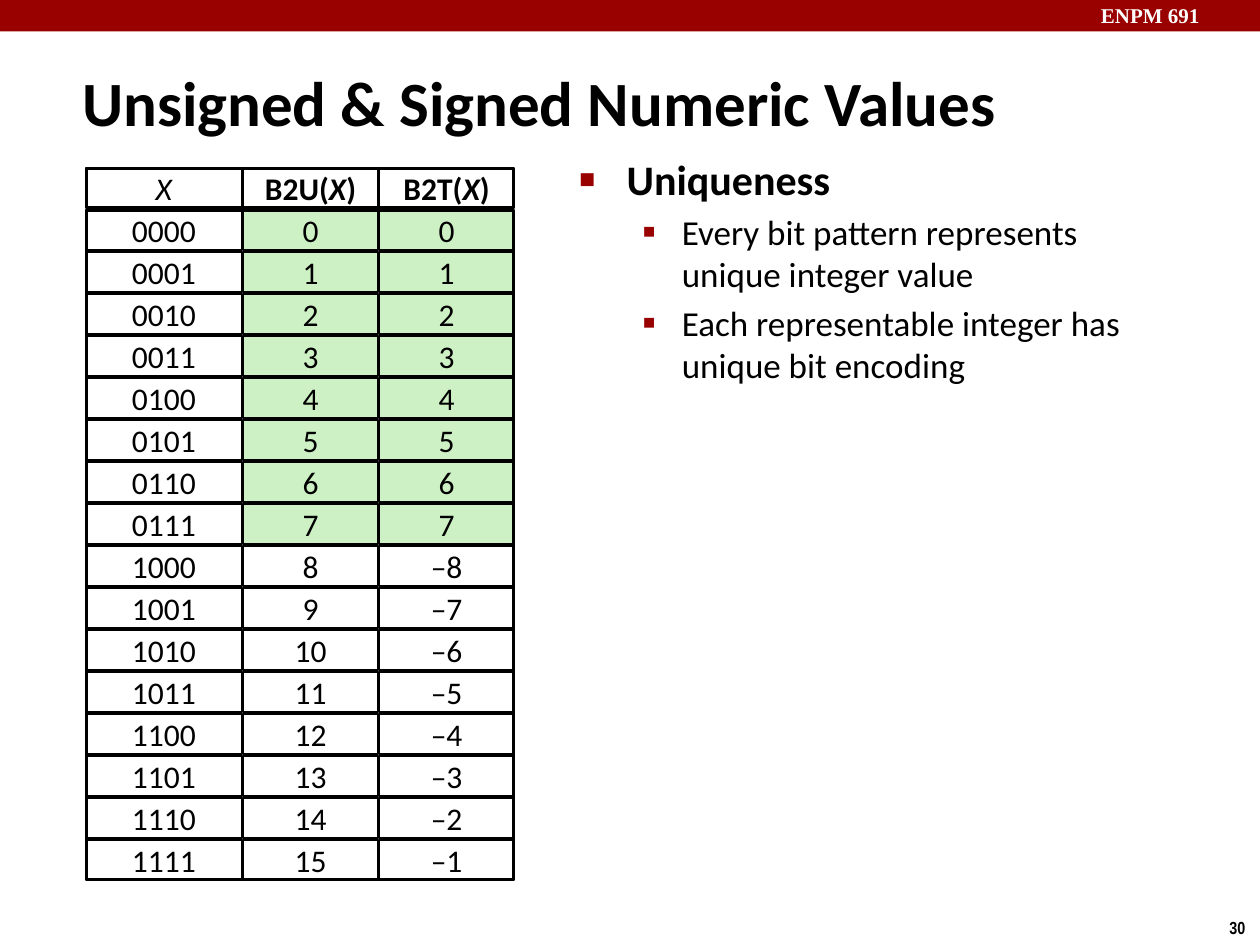
"""Build the slide on unsigned and signed numeric values of four-bit patterns."""
import pptx
import pptx.dml.color
import pptx.enum.shapes
import pptx.enum.text
import pptx.oxml.ns
import pptx.util
from lxml import etree

Pt = pptx.util.Pt
RED, BLACK, WHITE, GREEN = "990000", "000000", "FFFFFF", "CDF1C5"
BASE = {"name": "Calibri", "size": Pt(18), "bold": False, "italic": False}
BOLD = {"bold": True}

LABELS = [
    ("ENPM 691", (622, -2, 98, 22), (7.2, 3.6), 0,
     {"name": "Times New Roman", "size": Pt(12), "bold": True}, WHITE),
    ("30", (695.5, 520.5, 24.5, 19.5), (7.2, 3.6), 0,
     {"name": "Arial Narrow", "size": Pt(10), "bold": True}, BLACK),
    ("Unsigned & Signed Numeric Values", (42, 34.5, 654, 44), (5, 2), 9.5,
     {"size": Pt(36), "bold": True}, BLACK),
]
BULLETS = [
    ("Uniqueness", 0),
    ("Every bit pattern represents unique integer value", 1),
    ("Each representable integer has unique bit encoding", 1),
]
LEVELS = [
    {"mark": "■", "scale": 40, "left": 27, "hang": 27, "before": 0,
     "font": {"size": Pt(24), "bold": True}},
    {"mark": "▪", "scale": 110, "left": 58.5, "hang": 22.5, "before": 4,
     "font": {"size": Pt(20)}},
]
HEADER = [
    [("X", {"italic": True})],
    [("B2U(", BOLD), ("X", {"bold": True, "italic": True}), (")", BOLD)],
    [("B2T(", BOLD), ("X", {"bold": True, "italic": True}), (")", BOLD)],
]
BITS = 4
COLUMNS = [89.25, 77, 77]
GRID_LEFT, GRID_TOP, COLUMN_GAP = 49, 96, 0.75
ROW_PITCH, ROW_HEIGHT = 24, 23


def rgb(value):
    return pptx.dml.color.RGBColor.from_string(value)


def add_run(p, text, font, color=BLACK):
    r = p.add_run()
    r.text = text
    for key, value in {**BASE, **font}.items():
        setattr(r.font, key, value)
    r.font.color.rgb = rgb(color)


def set_frame(tf, inset, wrap):
    tf.word_wrap = wrap
    tf.margin_left = tf.margin_right = Pt(inset[0])
    tf.margin_top = tf.margin_bottom = Pt(inset[1])
    return tf


def add_box(s, box, inset, wrap):
    return set_frame(s.shapes.add_textbox(*map(Pt, box)).text_frame, inset, wrap)


def add_rect(s, box, fill=None, line=0):
    sp = s.shapes.add_shape(
        pptx.enum.shapes.MSO_SHAPE.RECTANGLE, *map(Pt, box))
    sp.shadow.inherit = False
    if fill:
        sp.fill.solid()
        sp.fill.fore_color.rgb = rgb(fill)
    else:
        sp.fill.background()
    if line:
        sp.line.color.rgb = rgb(BLACK)
        sp.line.width = Pt(line)
    else:
        sp.line.fill.background()
    return sp


def set_indent(p, left, hang):
    pPr = p._p.get_or_add_pPr()
    pPr.set("marL", str(int(Pt(left))))
    pPr.set("indent", str(-int(Pt(hang))))
    return pPr


def add_child(parent, tag, **attrs):
    return etree.SubElement(parent, pptx.oxml.ns.qn(tag), attrs)


def add_bullets(s):
    tf = add_box(s, (324, 84, 351, 411), (7.2, 3.6), True)
    for i, (text, level) in enumerate(BULLETS):
        style = LEVELS[level]
        p = tf.add_paragraph() if i else tf.paragraphs[0]
        p.level = level
        p.space_before = Pt(style["before"])
        pPr = set_indent(p, style["left"], style["hang"])
        add_child(add_child(pPr, "a:buClr"), "a:srgbClr", val=RED)
        add_child(pPr, "a:buSzPct", val=str(style["scale"] * 1000))
        add_child(pPr, "a:buFont", typeface="Calibri")
        add_child(pPr, "a:buChar", char=style["mark"])
        add_run(p, text, style["font"])


def add_cell(s, box, runs, fill):
    tf = set_frame(add_rect(s, box, fill, 1).text_frame, (7.2, 3.6), False)
    tf.vertical_anchor = pptx.enum.text.MSO_ANCHOR.MIDDLE
    p = tf.paragraphs[0]
    p.alignment = pptx.enum.text.PP_ALIGN.CENTER
    for text, font in runs:
        add_run(p, text, font)


def add_values(s):
    count, half = 2 ** BITS, 2 ** (BITS - 1)
    rows = [HEADER]
    for n in range(count):
        signed = str(n) if n < half else f"–{count - n}"
        rows.append([[(text, {})] for text in (f"{n:0{BITS}b}", str(n), signed)])
    for i, row in enumerate(rows):
        left, top = GRID_LEFT, GRID_TOP + i * ROW_PITCH
        for j, (runs, width) in enumerate(zip(row, COLUMNS)):
            same = j > 0 and 1 <= i <= half
            add_cell(s, (left, top, width, ROW_HEIGHT), runs,
                     GREEN if same else WHITE)
            left += width + COLUMN_GAP
    for first, size in ((0, 1), (1, count)):
        add_rect(s, (GRID_LEFT + 0.5, GRID_TOP + 0.25 + first * ROW_PITCH,
                     244, size * ROW_PITCH - 1.5), line=2)


def main():
    prs = pptx.Presentation()
    prs.slide_width, prs.slide_height = Pt(720), Pt(540)
    s = prs.slides.add_slide(prs.slide_layouts[6])
    add_rect(s, (0, 0, 720, 18), RED)
    for text, box, inset, hang, font, color in LABELS:
        p = add_box(s, box, inset, False).paragraphs[0]
        set_indent(p, hang, hang)
        add_run(p, text, font, color)
    add_bullets(s)
    add_values(s)
    prs.save("out.pptx")


if __name__ == "__main__":
    main()
